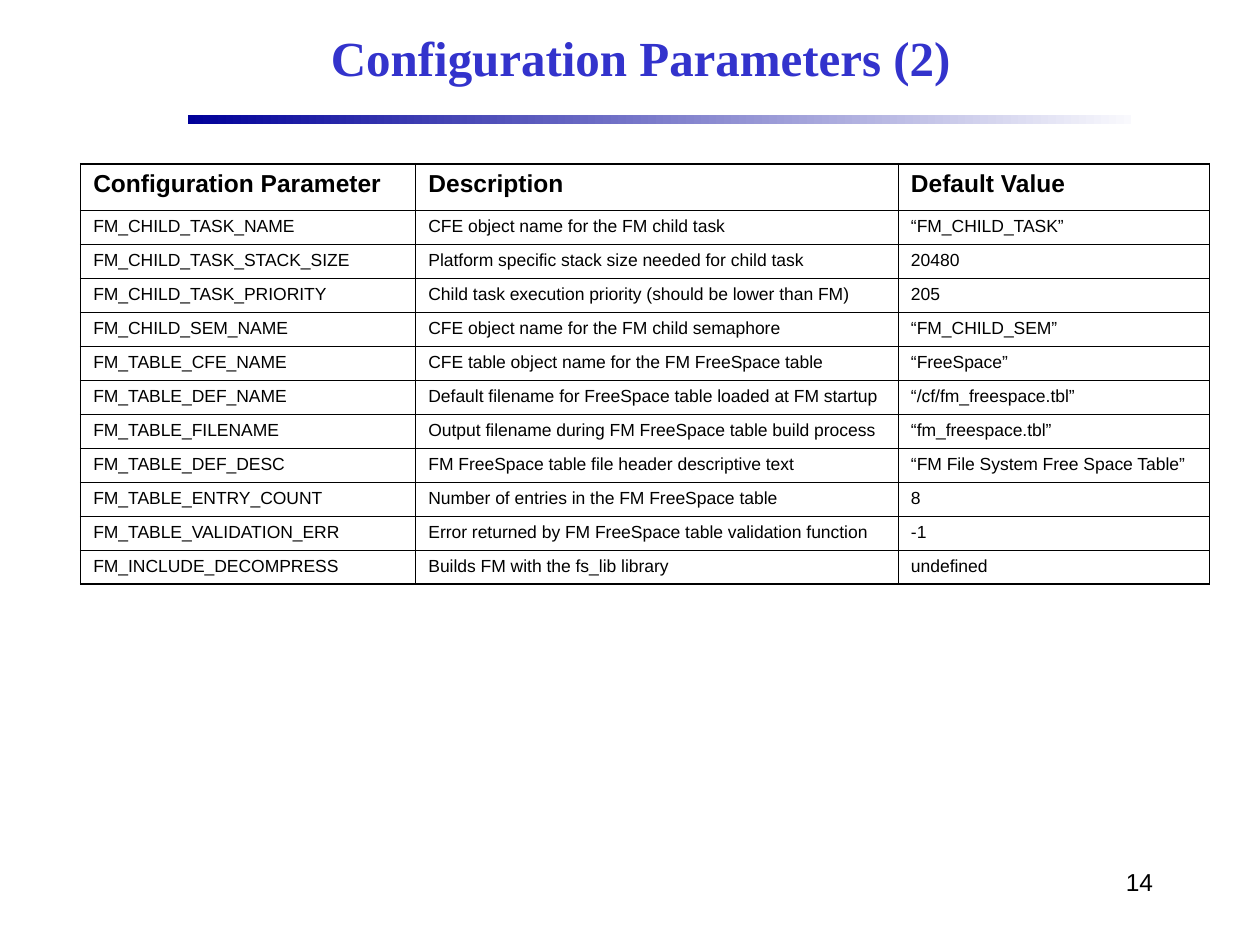
from dataclasses import dataclass
from lxml.etree import SubElement
from pptx import Presentation
from pptx.dml.color import RGBColor
from pptx.enum.shapes import MSO_SHAPE
from pptx.enum.text import MSO_ANCHOR, PP_ALIGN
from pptx.oxml.ns import qn
from pptx.util import Emu, Inches, Pt

WIDE, HIGH = Inches(10), Inches(7.5)
BLACK = "000000"
THIN, THICK = 0.45, 1.08
COLS = (26.6, 38.3, 24.7)
HEAD, ROW = 4.93, 3.6


@dataclass(frozen=True)
class Area:
    left: float
    top: float
    width: float
    height: float

    def box(self) -> tuple:
        return (across(self.left), down(self.top),
                across(self.width), down(self.height))


@dataclass(frozen=True)
class Style:
    size: float
    font: str = "Arial"
    color: str = BLACK
    bold: bool = False


@dataclass(frozen=True)
class Param:
    name: str
    about: str
    value: str

    def cells(self) -> tuple:
        return self.name, self.about, self.value


TITLE = Style(28, "Times New Roman", "3333CC", True)
LABEL = Style(14, bold=True)
ENTRY = Style(10)
NUMBER = Style(14)

HEADER = Param("Configuration Parameter", "Description", "Default Value")
PARAMS = [
    Param("FM_CHILD_TASK_NAME", "CFE object name for the FM child task", "“FM_CHILD_TASK”"),
    Param("FM_CHILD_TASK_STACK_SIZE", "Platform specific stack size needed for child task", "20480"),
    Param("FM_CHILD_TASK_PRIORITY", "Child task execution priority (should be lower than FM)", "205"),
    Param("FM_CHILD_SEM_NAME", "CFE object name for the FM child semaphore", "“FM_CHILD_SEM”"),
    Param("FM_TABLE_CFE_NAME", "CFE table object name for the FM FreeSpace table", "“FreeSpace”"),
    Param("FM_TABLE_DEF_NAME", "Default filename for FreeSpace table loaded at FM startup", "“/cf/fm_freespace.tbl”"),
    Param("FM_TABLE_FILENAME", "Output filename during FM FreeSpace table build process", "“fm_freespace.tbl”"),
    Param("FM_TABLE_DEF_DESC", "FM FreeSpace table file header descriptive text", "“FM File System Free Space Table”"),
    Param("FM_TABLE_ENTRY_COUNT", "Number of entries in the FM FreeSpace table", "8"),
    Param("FM_TABLE_VALIDATION_ERR", "Error returned by FM FreeSpace table validation function", "-1"),
    Param("FM_INCLUDE_DECOMPRESS", "Builds FM with the fs_lib library", "undefined"),
]


def across(share: float) -> Emu:
    return Emu(round(WIDE * share / 100))


def down(share: float) -> Emu:
    return Emu(round(HIGH * share / 100))


def paint(code: str) -> RGBColor:
    return RGBColor.from_string(code)


def write(frame, text: str, style: Style, align=PP_ALIGN.LEFT) -> None:
    line = frame.paragraphs[0]
    line.alignment = align
    run = line.add_run()
    run.text = text
    run.font.size = Pt(style.size)
    run.font.name = style.font
    run.font.bold = style.bold
    run.font.color.rgb = paint(style.color)


def edge(cell, sides: dict) -> None:
    props = cell._tc.get_or_add_tcPr()
    for place, (side, width) in enumerate(sides.items()):
        line = SubElement(props, qn(f"a:ln{side}"), w=str(Pt(width)))
        fill = SubElement(line, qn("a:solidFill"))
        SubElement(fill, qn("a:srgbClr"), val=BLACK)
        props.insert(place, line)


def add_title(slide, text: str, area: Area) -> None:
    title = slide.shapes.title
    title.left, title.top, title.width, title.height = area.box()
    title.text_frame.vertical_anchor = MSO_ANCHOR.MIDDLE
    write(title.text_frame, text, TITLE, PP_ALIGN.CENTER)


def add_bar(slide, area: Area) -> None:
    bar = slide.shapes.add_shape(MSO_SHAPE.RECTANGLE, *area.box())
    bar.shadow.inherit = False
    bar.line.fill.background()
    bar.fill.gradient()
    bar.fill.gradient_angle = 0
    for stop, code in zip(bar.fill.gradient_stops, ("000099", "F9F9FD")):
        stop.color.rgb = paint(code)


def add_grid(slide, params: list, left: float, top: float) -> None:
    rows = [HEADER, *params]
    area = Area(left, top, sum(COLS), HEAD + ROW * len(params))
    grid = slide.shapes.add_table(len(rows), len(COLS), *area.box()).table
    grid.first_row = grid.horz_banding = False
    for col, share in zip(grid.columns, COLS):
        col.width = across(share)
    for r, param in enumerate(rows):
        grid.rows[r].height = down(ROW if r else HEAD)
        for c, text in enumerate(param.cells()):
            cell = grid.cell(r, c)
            cell.fill.background()
            write(cell.text_frame, text, ENTRY if r else LABEL)
            outer = {"L": c == 0, "R": c == len(COLS) - 1,
                     "T": r == 0, "B": r == len(rows) - 1}
            edge(cell, {side: THICK if out else THIN
                        for side, out in outer.items()})


def add_number(slide, text: str, area: Area) -> None:
    frame = slide.shapes.add_textbox(*area.box()).text_frame
    frame.word_wrap = True
    write(frame, text, NUMBER, PP_ALIGN.RIGHT)


def main() -> None:
    deck = Presentation()
    deck.slide_width, deck.slide_height = WIDE, HIGH
    slide = deck.slides.add_slide(deck.slide_layouts[5])
    add_bar(slide, Area(14.9, 12.2, 74.9, 0.95))
    add_number(slide, "14", Area(71.7, 91.07, 20.8, 6.67))
    add_title(slide, "Configuration Parameters (2)", Area(15, 1.07, 71.7, 10))
    add_grid(slide, PARAMS, 6.4, 17.33)
    deck.save("out.pptx")


if __name__ == "__main__":
    main()
